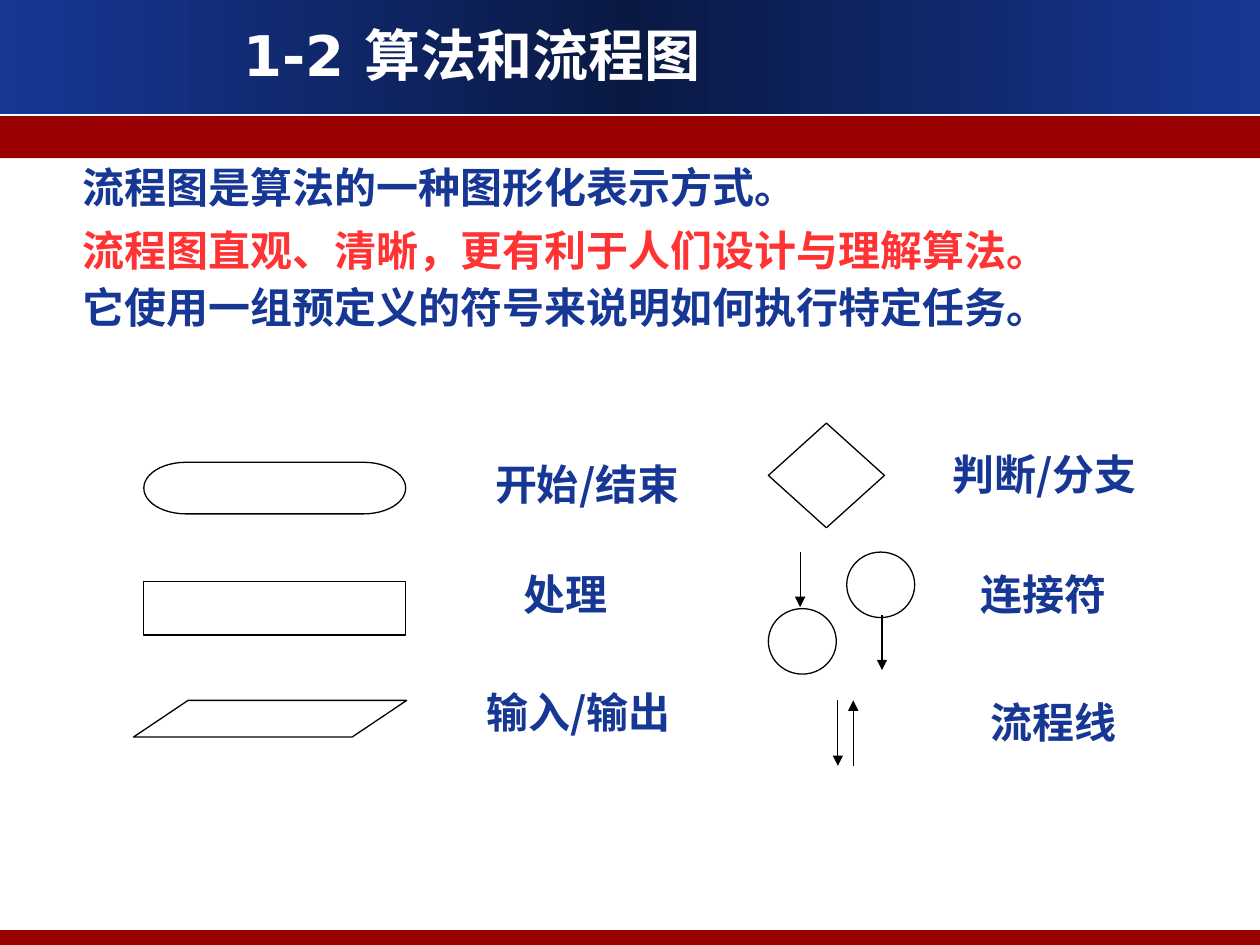
from copy import deepcopy

from lxml.etree import SubElement
from pptx import Presentation
from pptx.dml.color import RGBColor
from pptx.enum.shapes import MSO_CONNECTOR, MSO_SHAPE
from pptx.enum.text import MSO_ANCHOR, PP_ALIGN
from pptx.oxml.ns import qn
from pptx.util import Cm, Pt

BLUE, NAVY, DARK_RED = "163794", "0A1944", "990000"
RED, BLACK, WHITE = "FF3333", "000000", "FFFFFF"


def color(hex_string):
    return RGBColor.from_string(hex_string)


def add_shape(slide, kind, left, top, width, height):
    shape = slide.shapes.add_shape(kind, Cm(left), Cm(top), Cm(width), Cm(height))
    shape.shadow.inherit = False
    return shape


def add_band(slide, left, top, width, height, fill):
    band = add_shape(slide, MSO_SHAPE.RECTANGLE, left, top, width, height)
    band.fill.solid()
    band.fill.fore_color.rgb = color(fill)
    band.line.fill.background()
    return band


def add_symbol(slide, kind, left, top, width, height):
    symbol = add_shape(slide, kind, left, top, width, height)
    symbol.fill.background()
    symbol.line.color.rgb = color(BLACK)
    symbol.line.width = Pt(0.75)


def add_arrow(slide, x, start, end):
    """Vertical line with its arrowhead at end."""
    arrow = slide.shapes.add_connector(
        MSO_CONNECTOR.STRAIGHT, Cm(x), Cm(start), Cm(x), Cm(end))
    arrow.line.color.rgb = color(BLACK)
    arrow.line.width = Pt(0.75)
    SubElement(arrow.line._get_or_add_ln(), qn("a:tailEnd"), type="triangle")
    SubElement(arrow._element.spPr, qn("a:effectLst"))


def add_text_frame(slide, left, top, width, height):
    box = slide.shapes.add_textbox(Cm(left), Cm(top), Cm(width), Cm(height))
    box.text_frame.word_wrap = True
    return box.text_frame


def add_run(paragraph, text, size, font, hex_string):
    run = paragraph.add_run()
    run.text = text
    run.font.size = Pt(size)
    run.font.bold = True
    run.font.name = font
    run.font.color.rgb = color(hex_string)


def add_header(slide, left, top, width, height):
    banner = add_band(slide, left, top, width, height, BLUE)
    banner.fill.gradient()
    banner.fill.gradient_angle = 0
    stops = banner.fill.gradient_stops
    for stop in stops:
        stop.color.rgb = color(BLUE)
    first_stop = banner._element.spPr.find(".//" + qn("a:gs"))
    first_stop.addnext(deepcopy(first_stop))
    middle = banner.fill.gradient_stops[1]
    middle.position = 0.5
    middle.color.rgb = color(NAVY)

    add_band(slide, left, top + height + 0.03, width, 0.69 + 0.17 - 0.01, DARK_RED)

    title = add_text_frame(slide, left, top, width * 0.75, 2.18)
    title.vertical_anchor = MSO_ANCHOR.MIDDLE
    paragraph = title.paragraphs[0]
    paragraph.alignment = PP_ALIGN.CENTER
    add_run(paragraph, "1-2 算法和流程图", 32, "DejaVu Sans", WHITE)


def add_intro(slide, left, top, width, height):
    intro = add_text_frame(slide, left, top, width, height)
    intro.margin_top = 0
    sentences = [
        ("流程图是算法的一种图形化表示方式。", BLUE, 0),
        ("流程图直观、清晰，更有利于人们设计与理解算法。", RED, 6),
        ("它使用一组预定义的符号来说明如何执行特定任务。", BLUE, 2.5),
    ]
    for index, (sentence, hex_string, space) in enumerate(sentences):
        paragraph = intro.add_paragraph() if index else intro.paragraphs[0]
        paragraph.line_spacing = 1.05
        paragraph.space_before = Pt(space)
        add_run(paragraph, sentence, 24, "Arial", hex_string)


def add_legend(slide, left, top):
    """Flowchart symbols, each with its meaning to the right."""
    symbols = [
        (MSO_SHAPE.FLOWCHART_TERMINATOR, 0.21, 0.79, 5.28, 1.04),
        (MSO_SHAPE.FLOWCHART_PROCESS, 0.21, 3.2, 5.28, 1.07),
        (MSO_SHAPE.FLOWCHART_DATA, 0, 5.59, 5.51, 0.74),
        (MSO_SHAPE.FLOWCHART_DECISION, 12.8, 0, 2.34, 2.11),
        (MSO_SHAPE.FLOWCHART_CONNECTOR, 12.8, 3.74, 1.37, 1.32),
        (MSO_SHAPE.FLOWCHART_CONNECTOR, 14.38, 2.6, 1.37, 1.32),
    ]
    for kind, x, y, width, height in symbols:
        add_symbol(slide, kind, left + x, top + y, width, height)

    arrows = [(13.44, 2.6, 3.71), (15.09, 3.87, 4.98),
              (14.2, 5.59, 6.91), (14.51, 6.91, 5.59)]
    for x, start, end in arrows:
        add_arrow(slide, left + x, top + start, top + end)

    meanings = [
        ("开始/结束", 7.04, 0.59, "Noto Sans CJK SC"),
        ("处理", 7.62, 2.8, "Courier New"),
        ("输入/输出", 6.86, 5.19, "Noto Sans CJK SC"),
        ("判断/分支", 16.26, 0.39, "Noto Sans CJK SC"),
        ("连接符", 16.82, 2.8, "Courier New"),
        ("流程线", 17.02, 5.39, "Courier New"),
    ]
    for meaning, x, y, font in meanings:
        label = add_text_frame(slide, left + x, top + y, 5, 1.27)
        add_run(label.paragraphs[0], meaning, 24, font, BLUE)


def main():
    presentation = Presentation()
    presentation.slide_width, presentation.slide_height = Cm(25.4), Cm(19.05)
    slide = presentation.slides.add_slide(presentation.slide_layouts[6])
    add_header(slide, 0, 0, 25.4, 2.31)
    add_band(slide, 0, 18.75, 25.4, 0.3, DARK_RED)
    add_intro(slide, 1.42, 3.2, 20.75, 4.88)
    add_legend(slide, 2.69, 8.53)
    presentation.save("out.pptx")


if __name__ == "__main__":
    main()
